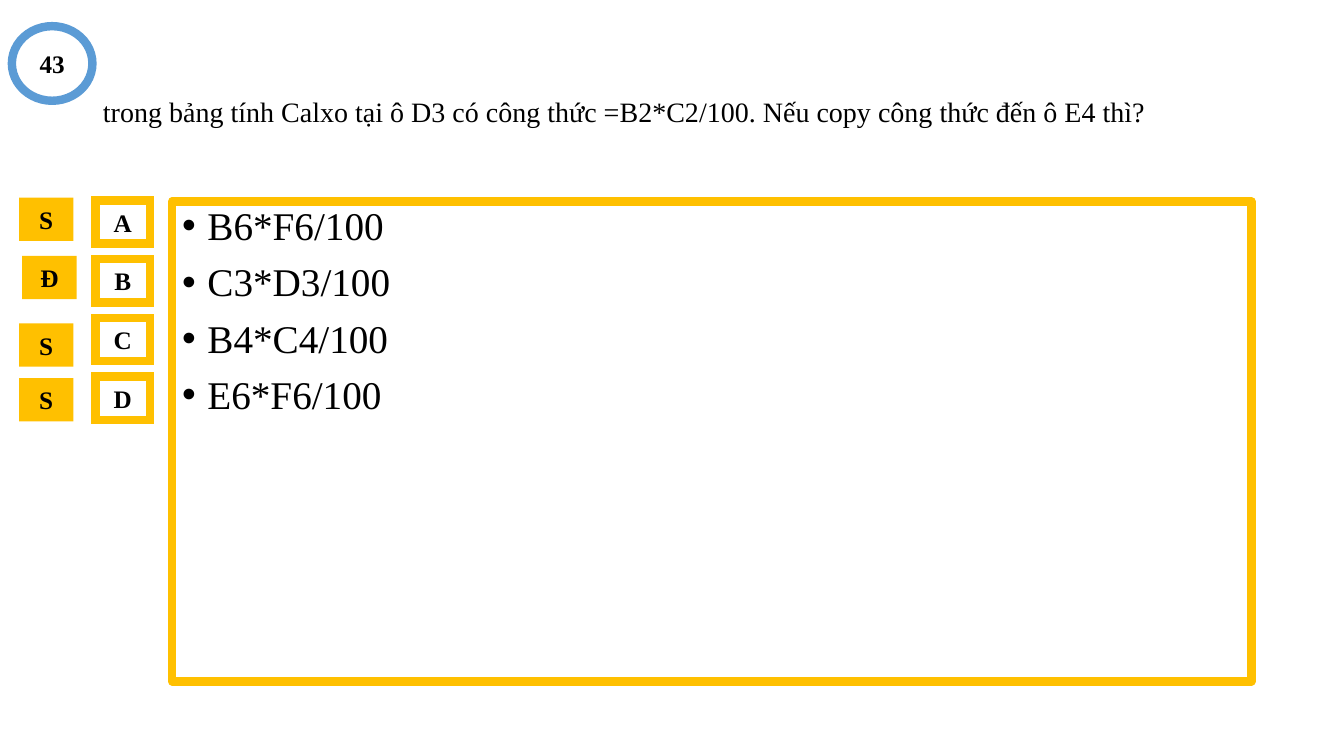
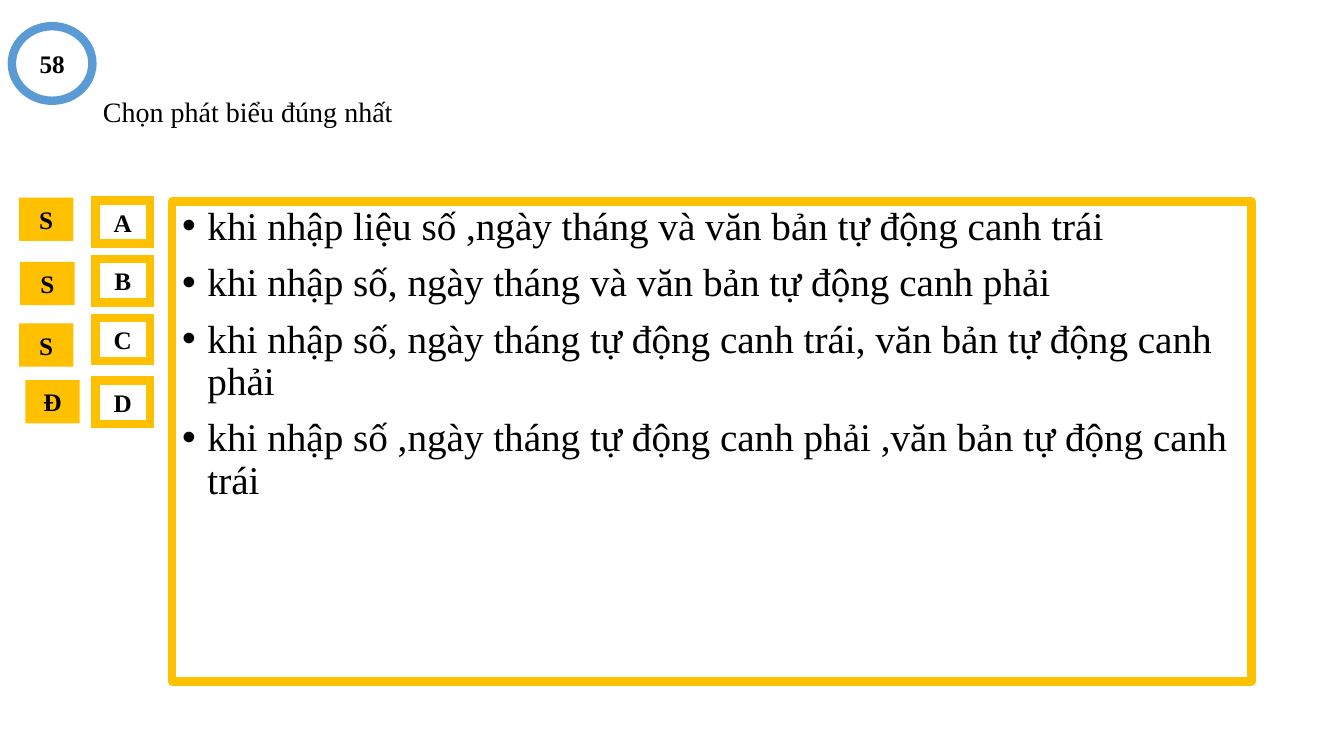
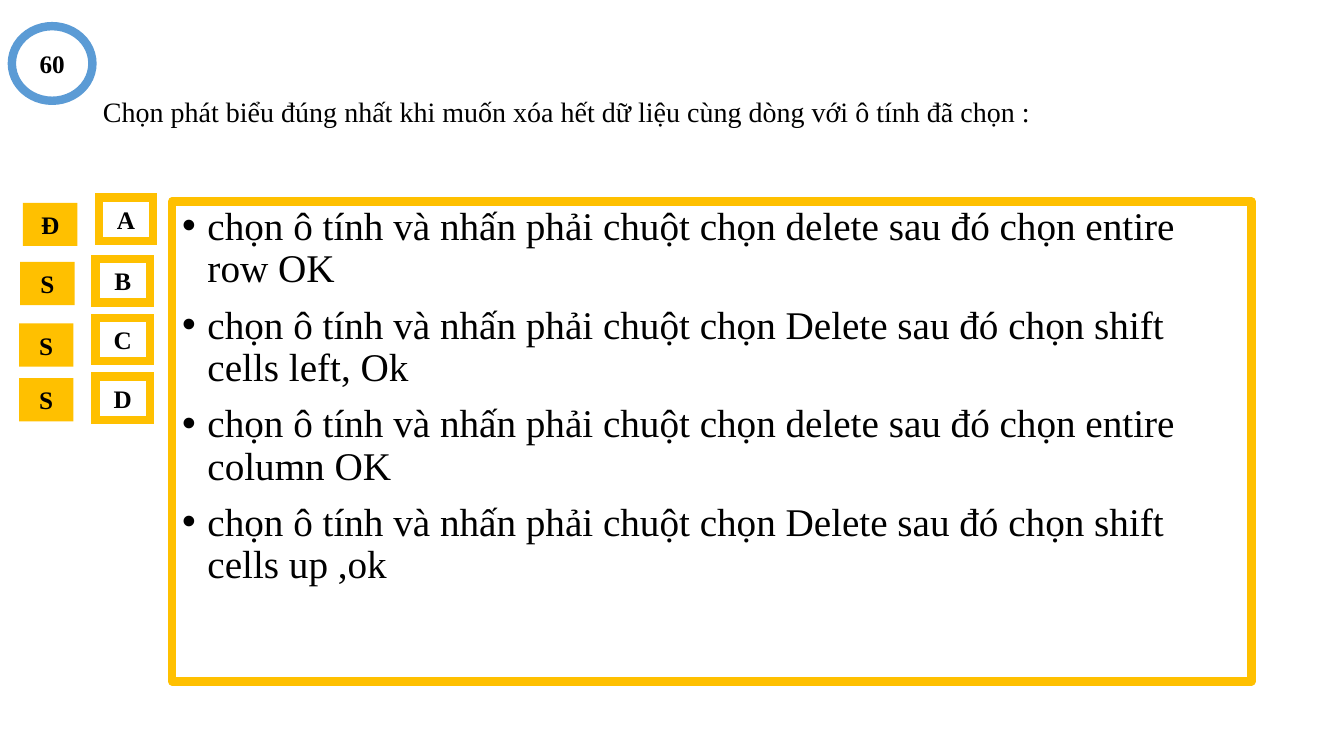
import pptx
import pptx.util
import pptx.dml.color
import pptx.enum.shapes
import pptx.enum.text
import pptx.oxml.ns
import lxml.etree

Cm = pptx.util.Cm
Pt = pptx.util.Pt
SHAPE = pptx.enum.shapes.MSO_SHAPE
ALIGN = pptx.enum.text.PP_ALIGN
ANCHOR = pptx.enum.text.MSO_ANCHOR
qn = pptx.oxml.ns.qn

FONT = "Times New Roman"
COLORS = {"text": "000000", "paper": "FFFFFF", "gold": "FFC000", "ring": "5B9BD5"}

# Boxes in cm: left, top, width, height
TITLE_BOX = (2.34, 1.02, 29.21, 3.68)
ANSWER_BOX = (4.34, 5.08, 27.2, 12.09)
NUMBER_BOX = (0.3, 0.66, 2.03, 1.88)
KEY_BOX = (0.48, 5.05, 3.3, 5.53)
TAG_W, TAG_H = 1.37, 1.09
ROW_PITCH = 1.48
LETTER_DX = 1.93

# marks: sign and its shift from the row; letter_shifts: by row index
QUESTIONS = [
    {
        "number": "43",
        "title": "trong bảng tính Calxo tại ô D3 có công thức =B2*C2/100. "
                 "Nếu copy công thức đến ô E4 thì?",
        "answers": ["B6*F6/100", "C3*D3/100", "B4*C4/100", "E6*F6/100"],
        "marks": [("S", 0, -0.07), ("Đ", 0.08, -0.08), ("S", 0, 0.14), ("S", 0, 0.04)],
        "letter_shifts": {},
    },
    {
        "number": "58",
        "title": "Chọn phát biểu đúng nhất",
        "answers": [
            "khi nhập liệu số ,ngày tháng và văn bản tự động canh trái",
            "khi nhập số, ngày tháng và văn bản tự động canh phải",
            "khi nhập số, ngày tháng tự động canh trái, văn bản tự động canh phải",
            "khi nhập số ,ngày tháng tự động canh phải ,văn bản tự động canh trái",
        ],
        "marks": [("S", 0, -0.07), ("S", 0.03, 0.07), ("S", 0, 0.14), ("Đ", 0.16, 0.09)],
        "letter_shifts": {3: (0, 0.1)},
    },
    {
        "number": "60",
        "title": "Chọn phát biểu đúng nhất khi muốn xóa hết dữ liệu cùng dòng "
                 "với ô tính đã chọn :",
        "answers": [
            "chọn ô tính và nhấn phải chuột chọn delete sau đó chọn entire row OK",
            "chọn ô tính và nhấn phải chuột chọn Delete sau đó chọn shift cells left, Ok",
            "chọn ô tính và nhấn phải chuột chọn delete sau đó chọn entire column OK",
            "chọn ô tính và nhấn phải chuột chọn Delete sau đó chọn shift cells up ,ok",
        ],
        "marks": [("Đ", 0.1, 0.06), ("S", 0.03, 0.07), ("S", 0, 0.14), ("S", 0, 0.04)],
        "letter_shifts": {0: (0.08, -0.07)},
    },
]


def rgb(name):
    return pptx.dml.color.RGBColor.from_string(COLORS[name])


def set_fill(sp, color, alpha=100):
    sp.fill.solid()
    sp.fill.fore_color.rgb = rgb(color)
    if alpha < 100:
        clr = sp.fill._xPr.find(qn("a:solidFill"))[0]
        lxml.etree.SubElement(clr, qn("a:alpha")).set("val", str(alpha * 1000))


def set_line(sp, color, join=None):
    sp.line.color.rgb = rgb(color)
    sp.line.width = Pt(6)
    if join:
        lxml.etree.SubElement(sp.line._get_or_add_ln(), qn("a:" + join))


def set_font(p, size, bold=False):
    for r in p.runs:
        r.font.name = FONT
        r.font.size = Pt(size)
        r.font.bold = bold
        r.font.color.rgb = rgb("text")


def add_label(s, kind, box, text, fill, line=None, alpha=100):
    """Shape with one bold centred label."""
    sp = s.shapes.add_shape(kind, *map(Cm, box))
    sp.shadow.inherit = False
    set_fill(sp, fill, alpha)
    if line:
        set_line(sp, line, "miter")
    else:
        sp.line.fill.background()
    tf = sp.text_frame
    tf.margin_left = tf.margin_right = tf.margin_top = tf.margin_bottom = 0
    tf.vertical_anchor = ANCHOR.MIDDLE
    tf.text = text
    p = tf.paragraphs[0]
    p.alignment = ALIGN.CENTER
    set_font(p, 18, bold=True)


def place_title(s, box, text):
    sp = s.shapes.title
    sp.left, sp.top, sp.width, sp.height = map(Cm, box)
    set_fill(sp, "paper", 79)
    tf = sp.text_frame
    tf.text = text
    tf.vertical_anchor = ANCHOR.MIDDLE
    p = tf.paragraphs[0]
    p.alignment = ALIGN.LEFT
    p.line_spacing = 0.9
    set_font(p, 20)


def add_answers(s, box, answers):
    """Framed bullet list."""
    sp = s.shapes.add_textbox(*map(Cm, box))
    set_fill(sp, "paper", 79)
    set_line(sp, "gold", "round")
    tf = sp.text_frame
    tf.word_wrap = True
    tf.text = "\n".join(answers)
    for i, p in enumerate(tf.paragraphs):
        p.line_spacing = 0.9
        p.space_before = Pt(10 if i else 0)
        pPr = p._p.get_or_add_pPr()
        pPr.set("marL", str(Cm(0.64)))
        pPr.set("indent", str(-Cm(0.64)))
        lxml.etree.SubElement(pPr, qn("a:buFont")).set("typeface", "Arial")
        lxml.etree.SubElement(pPr, qn("a:buChar")).set("char", "•")
        set_font(p, 28)


def add_key(s, box, marks, letter_shifts):
    """Column of right/wrong marks beside the column of letters."""
    left, top = box[:2]
    for i, (letter, (mark, dx, dy)) in enumerate(zip("ABCD", marks)):
        y = top + i * ROW_PITCH
        add_label(s, SHAPE.RECTANGLE, (left + dx, y + dy, TAG_W, TAG_H), mark, "gold")
        lx, ly = letter_shifts.get(i, (0, 0))
        add_label(s, SHAPE.RECTANGLE, (left + LETTER_DX + lx, y + ly, TAG_W, TAG_H),
                  letter, "paper", "gold", 85)


def add_question(prs, q):
    s = prs.slides.add_slide(prs.slide_layouts[5])
    place_title(s, TITLE_BOX, q["title"])
    add_answers(s, ANSWER_BOX, q["answers"])
    add_label(s, SHAPE.OVAL, NUMBER_BOX, q["number"], "paper", "ring")
    add_key(s, KEY_BOX, q["marks"], q["letter_shifts"])


def main():
    prs = pptx.Presentation()
    prs.slide_width, prs.slide_height = Cm(33.87), Cm(19.05)
    for q in QUESTIONS:
        add_question(prs, q)
    prs.save("out.pptx")


if __name__ == "__main__":
    main()
